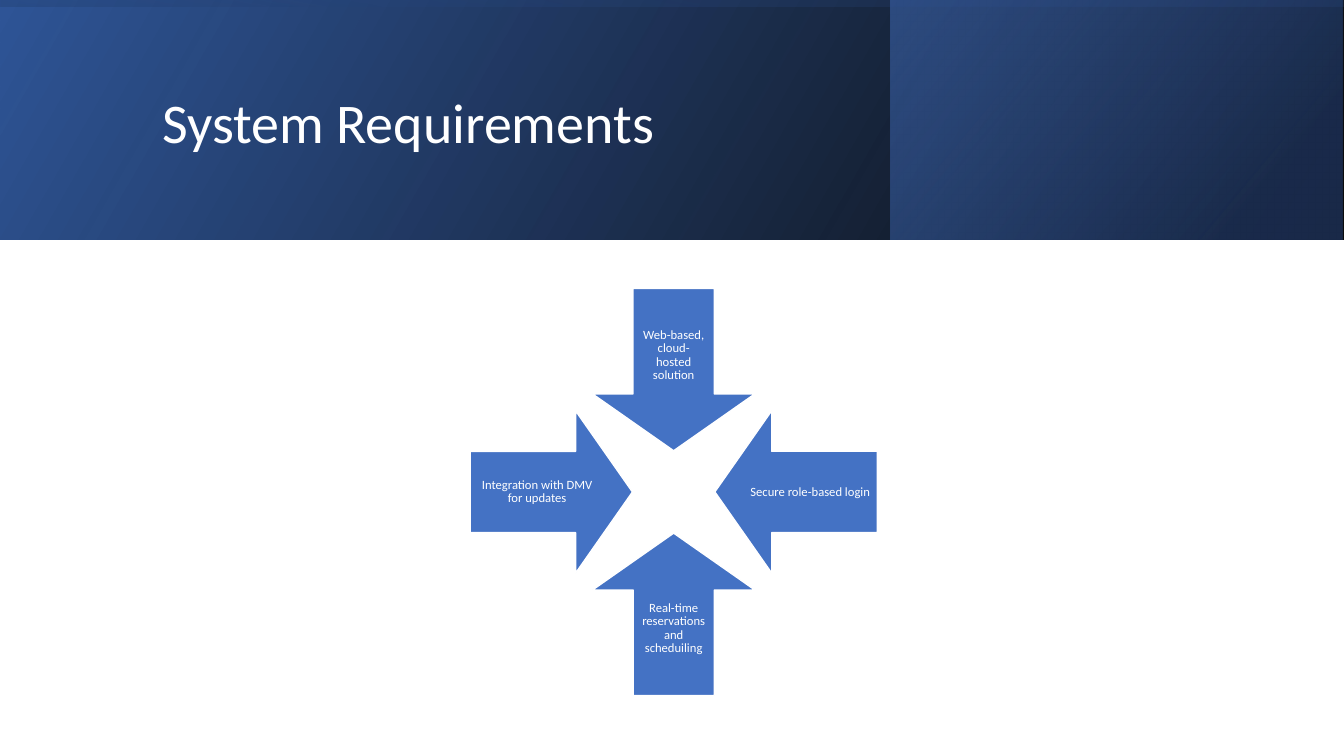
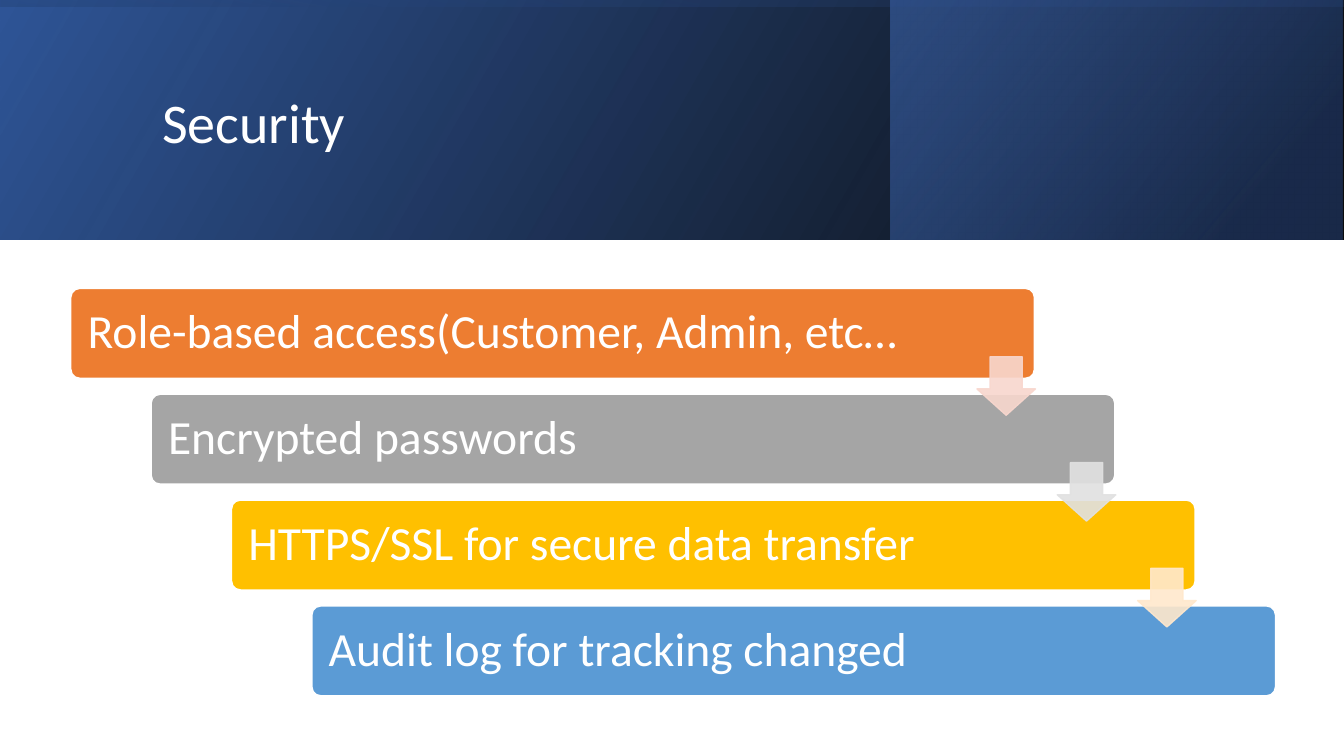
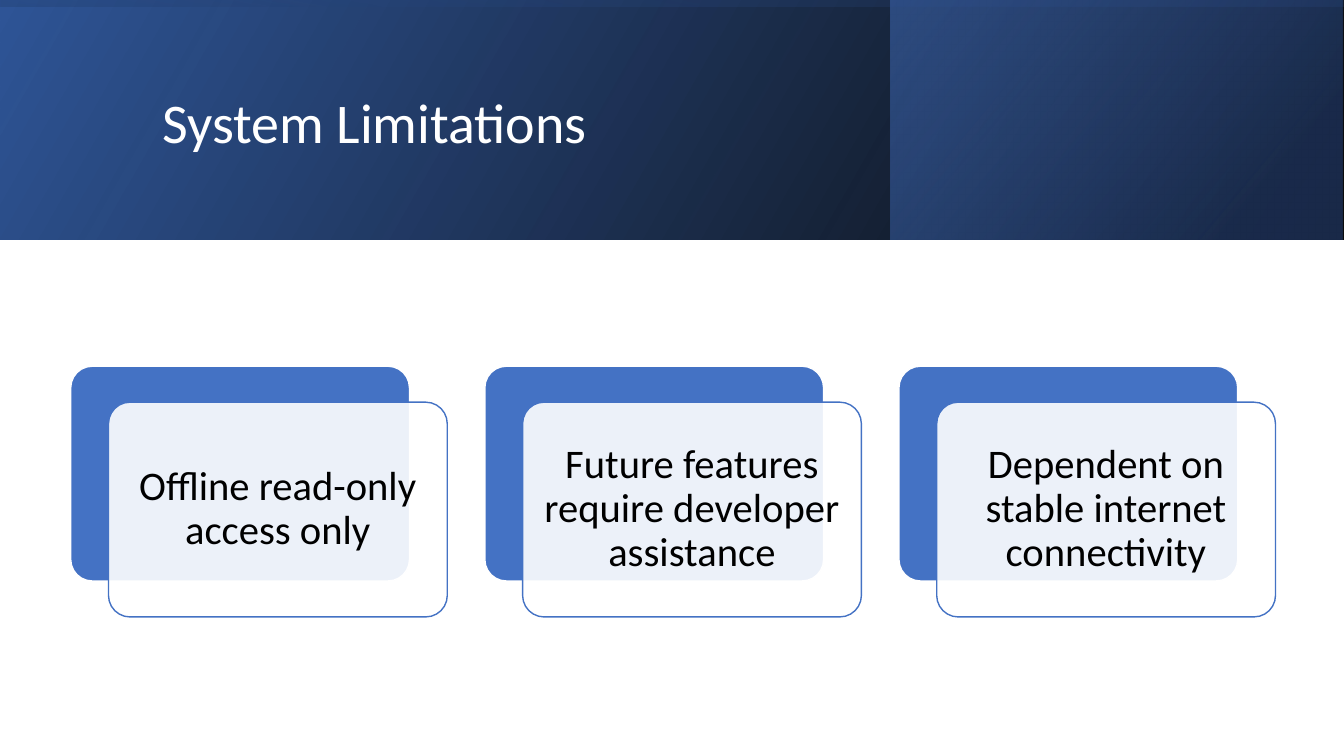
from pptx import Presentation
from pptx.dml.color import RGBColor
from pptx.enum import shapes, text
from pptx.oxml.ns import qn
from pptx.util import Pt
from lxml import etree

WHITE = RGBColor(0xFF, 0xFF, 0xFF)
BLACK = RGBColor(0x00, 0x00, 0x00)
BLUE = RGBColor(0x44, 0x72, 0xC4)
NAVY = RGBColor(0x20, 0x38, 0x64)
ROYAL = RGBColor(0x2F, 0x55, 0x97)
ORANGE = RGBColor(0xED, 0x7D, 0x31)
GRAY = RGBColor(0xA5, 0xA5, 0xA5)
GOLD = RGBColor(0xFF, 0xC0, 0x00)
SKY = RGBColor(0x5B, 0x9B, 0xD5)
PEACH = RGBColor(0xF8, 0xD7, 0xCE)
SILVER = RGBColor(0xE1, 0xE1, 0xE1)
CREAM = RGBColor(0xFF, 0xE8, 0xCC)

FONT = "Calibri"
KIND = shapes.MSO_SHAPE
LEFT, CENTER = text.PP_ALIGN.LEFT, text.PP_ALIGN.CENTER
WIDE, BAND = 960, 171

# Box, rotation, gradient angle, gradient stops (place, colour), opacities
BANDS = [
    ((0, 0, WIDE, BAND), 0, 30, [(0, BLACK), (1, ROYAL)], (96, 100)),
    ((636, 0, 323, BAND), 0, 40, [(0.19, NAVY), (1, BLUE)], (68, 48)),
    (((WIDE - BAND) / 2, (BAND - WIDE) / 2, BAND, WIDE), 270, 10,
     [(0.23, ROYAL), (0.99, BLACK)], (16, 45)),
]


def form(slide, kind, box, fill, line=None, adjust=(), opacity=(), angle=0):
    """Add a shape; a list as fill is a gradient, opacity goes fill first, then line."""
    shape = slide.shapes.add_shape(kind, *map(Pt, box))
    shape.shadow.inherit = False
    for i, value in enumerate(adjust):
        shape.adjustments[i] = value
    if isinstance(fill, list):
        shape.fill.gradient()
        shape.fill.gradient_angle = angle
        for stop, (place, color) in zip(shape.fill.gradient_stops, fill):
            stop.position = place
            stop.color.rgb = color
    else:
        shape.fill.solid()
        shape.fill.fore_color.rgb = fill
    if line is None:
        shape.line.fill.background()
    else:
        shape.line.color.rgb = line
        shape.line.width = Pt(1)
    colors = shape._element.spPr.iter(qn("a:srgbClr"))
    for color, value in zip(list(colors), opacity):
        etree.SubElement(color, qn("a:alpha")).set("val", str(value * 1000))
    return shape


def write(shape, words, size, color, align, inset=None):
    frame = shape.text_frame
    frame.word_wrap = True
    frame.vertical_anchor = text.MSO_ANCHOR.MIDDLE
    if inset is not None:
        frame.margin_left = frame.margin_right = Pt(inset)
        frame.margin_top = frame.margin_bottom = Pt(inset)
    para = frame.paragraphs[0]
    para.alignment = align
    para.line_spacing = 0.9
    run = para.add_run()
    run.text = words
    run.font.name = FONT
    run.font.size = Pt(size)
    run.font.color.rgb = color


deck = Presentation()
deck.slide_width, deck.slide_height = Pt(WIDE), Pt(540)

# Shared header
pages = []
for name in ("System Requirements", "Security", "System Limitations"):
    page = deck.slides.add_slide(deck.slide_layouts[5])
    for box, turn, angle, stops, opacity in BANDS:
        band = form(page, KIND.RECTANGLE, box, stops, opacity=opacity, angle=angle)
        band.rotation = turn
        band._element.spPr.find(qn("a:xfrm")).set("flipH", "1")
    title = page.shapes.title
    title.left, title.top, title.width, title.height = map(Pt, (108.7, 27.4, 765.4, 123.8))
    write(title, name, 40, WHITE, LEFT)
    page.shapes._spTree.append(title._element)  # in front of the bands
    pages.append(page)
needs, safety, limits = pages

# System Requirements: four arrows that point at one centre
MID_X, MID_Y = 481.2, 351.4
ARROW, REACH = 116, 87.4
LONG, SHORT = 95.8, 57.6
OUT = REACH + (ARROW - LONG) / 2
ARROWS = [
    (0, -1, "Web-based, cloud-hosted solution"),
    (1, 0, "Secure role-based login"),
    (0, 1, "Real-time reservations and scheduiling"),
    (-1, 0, "Integration with DMV for updates"),
]
for i, (dx, dy, words) in enumerate(ARROWS):
    box = (MID_X + dx * REACH - ARROW / 2, MID_Y + dy * REACH - ARROW / 2, ARROW, ARROW)
    arrow = form(needs, KIND.DOWN_ARROW, box, BLUE, WHITE, (0.5, 0.35))
    arrow.rotation = 90 * i
    wide, high = (LONG, SHORT) if dx else (SHORT, LONG)
    box = (MID_X + dx * OUT - wide / 2, MID_Y + dy * OUT - high / 2, wide, high)
    label = needs.shapes.add_textbox(*map(Pt, box))
    write(label, words, 9, WHITE, CENTER, 5)

# Security: stepped bars joined by pale arrows
STEP_X, STEP_Y = 57.4, 75.6
BARS = [
    ("Role-based access(Customer, Admin, etc…", ORANGE, 614),
    ("Encrypted passwords", GRAY, 585.5),
    ("HTTPS/SSL for secure data transfer", GOLD, 585.5),
    ("Audit log for tracking changed", SKY, 585.5),
]
for i, (words, color, wide) in enumerate(BARS):
    x, y = 50.6 + i * STEP_X, 206 + i * STEP_Y
    form(safety, KIND.ROUNDED_RECTANGLE, (x, y, 688.3, 64.2), color, WHITE, (0.1,))
    label = safety.shapes.add_textbox(*map(Pt, (x + 2, y + 2, wide, 60.2)))
    write(label, words, 34, WHITE, LEFT, 10)
for i, color in enumerate((PEACH, SILVER, CREAM)):
    box = (697.8 + i * STEP_X, 254.8 + i * STEP_Y, 41.8, 41.8)
    form(safety, KIND.DOWN_ARROW, box, color, color, (0.55, 0.45), (90, 90))

# System Limitations: cards with a see-through front
CARD = (242, 153.4)
CARDS = [
    "Offline read-only access only",
    "Future features require developer assistance",
    "Dependent on stable internet connectivity",
]
for i, words in enumerate(CARDS):
    x, y = 50.5 + i * 295.8, 261.6
    form(limits, KIND.ROUNDED_RECTANGLE, (x, y, *CARD), BLUE, WHITE, (0.1,))
    x, y = x + 27, y + 25.7
    form(limits, KIND.ROUNDED_RECTANGLE, (x, y, *CARD), WHITE, BLUE, (0.1,), (90,))
    label = limits.shapes.add_textbox(*map(Pt, (x + 4.5, y + 4.5, CARD[0] - 9, CARD[1] - 9)))
    write(label, words, 29, BLACK, CENTER, 8.7)

deck.save("out.pptx")
